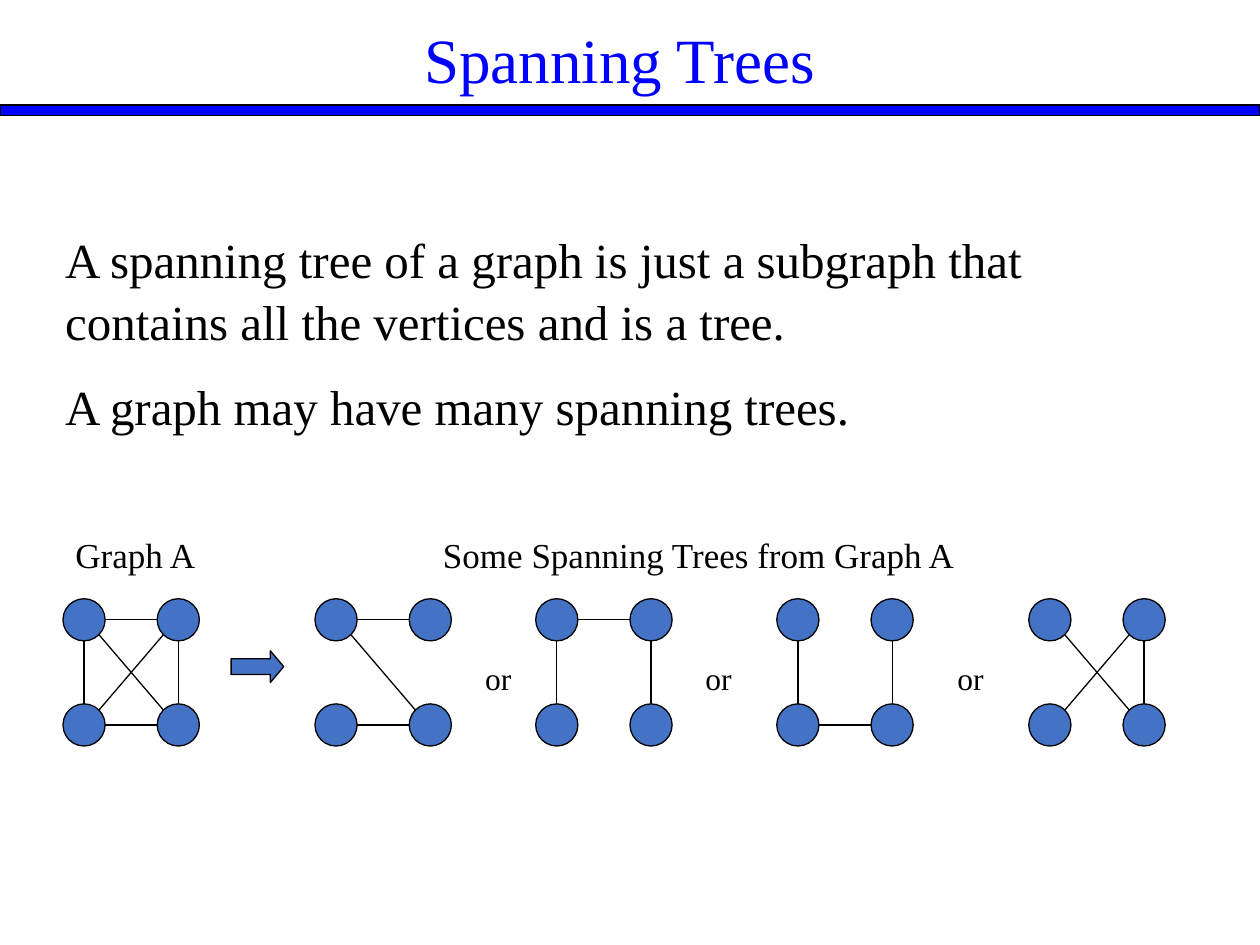
from dataclasses import dataclass
from math import hypot

from lxml.etree import SubElement
from pptx import Presentation
from pptx.dml.color import RGBColor
from pptx.enum.shapes import MSO_CONNECTOR, MSO_SHAPE
from pptx.enum.text import MSO_ANCHOR, MSO_AUTO_SIZE, PP_ALIGN
from pptx.oxml.ns import qn
from pptx.util import Cm, Pt

FONT = "Times New Roman"
COLORS = {"ink": "000000", "blue": "0000FF", "node": "4472C4"}

# Node grid of every graph, in cm: 0 and 1 on top, 2 and 3 below
SIZE, STEP, DROP, TOP = 0.85, 1.9, 2.12, 12.07


@dataclass
class Graph:
    left: float
    edges: list[tuple[int, int]]


@dataclass
class Label:
    text: str
    left: float
    top: float
    width: float
    height: float
    size: int


GRAPHS = [
    Graph(1.27, [(0, 1), (0, 2), (2, 3), (1, 3), (1, 2), (0, 3)]),
    Graph(6.35, [(0, 1), (2, 3), (0, 3)]),
    Graph(10.8, [(0, 1), (0, 2), (1, 3)]),
    Graph(15.66, [(0, 2), (2, 3), (1, 3)]),
    Graph(20.74, [(1, 3), (1, 2), (0, 3)]),
]
LABELS = [
    Label("Graph A", 1.27, 10.58, 2.96, 1.1, 20),
    Label("Some Spanning Trees from Graph A", 8.68, 10.58, 13.12, 1.1, 20),
    *[Label("or", x, 13.12, 1.06, 1.02, 18) for x in (9.53, 13.97, 19.05)],
]


def tint(name: str) -> RGBColor:
    return RGBColor.from_string(COLORS[name])


def write(frame, *lines: str, size: int, color: str = "ink",
          align=PP_ALIGN.LEFT, gap: float = 0) -> None:
    """Fill a text frame with one plain paragraph per line."""
    frame.auto_size = MSO_AUTO_SIZE.NONE
    frame.word_wrap = True
    frame.vertical_anchor = MSO_ANCHOR.TOP
    for i, line in enumerate(lines):
        para = frame.paragraphs[0] if i == 0 else frame.add_paragraph()
        para.alignment = align
        para.line_spacing = 1.05
        para.space_before = Pt(gap if i else 0)
        run = para.add_run()
        run.text = line
        run.font.name, run.font.size = FONT, Pt(size)
        run.font.color.rgb = tint(color)


def place(shape, left: float, top: float, width: float, height: float) -> None:
    shape.left, shape.top = Cm(left), Cm(top)
    shape.width, shape.height = Cm(width), Cm(height)


def draw(slide, kind, left: float, top: float, width: float, height: float,
         fill: str = "node"):
    shape = slide.shapes.add_shape(
        kind, Cm(left), Cm(top), Cm(width), Cm(height))
    shape.shadow.inherit = False
    shape.fill.solid()
    shape.fill.fore_color.rgb = tint(fill)
    shape.line.color.rgb = tint("ink")
    shape.line.width = Pt(0.75)
    return shape


def link(slide, x1: float, y1: float, x2: float, y2: float) -> None:
    line = slide.shapes.add_connector(
        MSO_CONNECTOR.STRAIGHT, Cm(x1), Cm(y1), Cm(x2), Cm(y2))
    line.line.color.rgb = tint("ink")
    line.line.width = Pt(0.75)
    SubElement(line._element.spPr, qn("a:effectLst"))


def plot(slide, graph: Graph) -> None:
    """Draw four nodes and the edges between their rims."""
    half = SIZE / 2
    spots = [(graph.left + STEP * (i % 2), TOP + DROP * (i // 2))
             for i in range(4)]
    for x, y in spots:
        draw(slide, MSO_SHAPE.OVAL, x, y, SIZE, SIZE)
    for a, b in graph.edges:
        (x1, y1), (x2, y2) = spots[a], spots[b]
        # Edges leave the rim straight on or at 45 degrees
        dx, dy = (x2 > x1) - (x2 < x1), (y2 > y1) - (y2 < y1)
        reach = half / hypot(dx, dy)
        link(slide, x1 + half + dx * reach, y1 + half + dy * reach,
             x2 + half - dx * reach, y2 + half - dy * reach)


def main() -> None:
    deck = Presentation()
    deck.slide_width, deck.slide_height = Cm(25.4), Cm(19.05)
    slide = deck.slides.add_slide(deck.slide_layouts[1])
    title, body = slide.placeholders

    # Title and band
    place(title, 8.26, 0.21, 8.46, 1.78)
    write(title.text_frame, "Spanning Trees", size=36, color="blue",
          align=PP_ALIGN.CENTER)
    draw(slide, MSO_SHAPE.RECTANGLE, 0, 2.12, 25.4, 0.21, fill="blue")

    # Definition, without bullets
    place(body, 1.06, 4.45, 23.28, 4.42)
    write(body.text_frame,
          "A spanning tree of a graph is just a subgraph that contains "
          "all the vertices and is a tree.",
          "A graph may have many spanning trees.", size=28, gap=13)
    for para in body.text_frame.paragraphs:
        props = para._p.get_or_add_pPr()
        props.set("marL", "0")
        props.set("indent", "0")
        SubElement(props, qn("a:buNone"))

    # Graphs and arrow
    for graph in GRAPHS:
        plot(slide, graph)
    arrow = draw(slide, MSO_SHAPE.RIGHT_ARROW, 4.66, 13.12, 1.06, 0.64)
    arrow.adjustments[1] = 0.42

    # Labels
    for label in LABELS:
        box = slide.shapes.add_textbox(0, 0, 0, 0)
        place(box, label.left, label.top, label.width, label.height)
        box.text_frame.margin_right = 0
        write(box.text_frame, label.text, size=label.size)

    deck.save("out.pptx")


if __name__ == "__main__":
    main()
